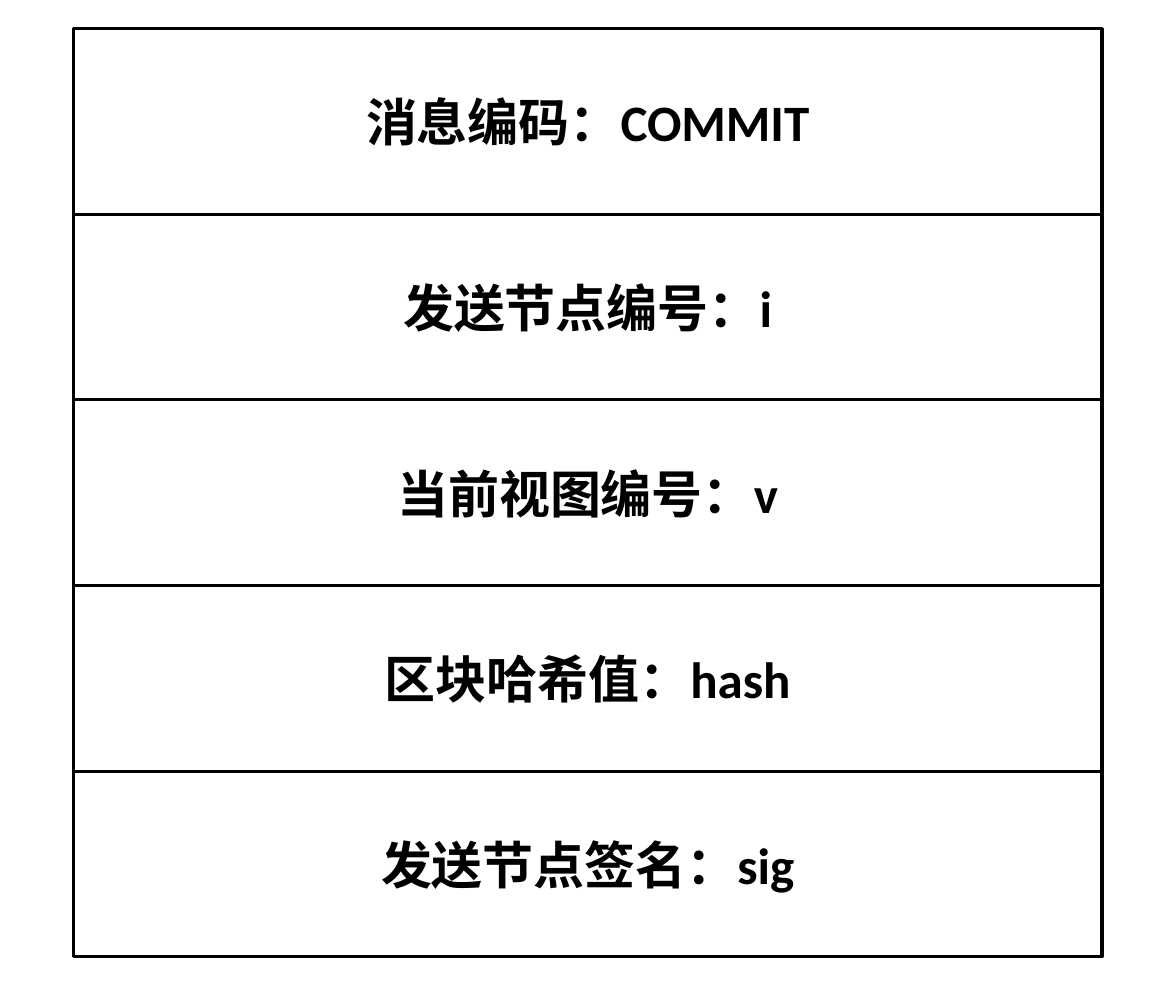
from dataclasses import dataclass

from pptx import Presentation
from pptx.dml.color import RGBColor
from pptx.enum.shapes import MSO_SHAPE as Preset
from pptx.enum.text import MSO_ANCHOR as Anchor, PP_ALIGN as Align
from pptx.util import Pt


@dataclass(frozen=True)
class Theme:
    font: str = "Calibri"
    text_size: float = 16
    line_width: float = 1
    ink: RGBColor = RGBColor(0, 0, 0)
    paper: RGBColor = RGBColor(255, 255, 255)


@dataclass(frozen=True)
class Box:
    left: float
    top: float
    width: float
    height: float


THEME = Theme()
COMMIT_FIELDS = [
    "消息编码：COMMIT",
    "发送节点编号：i",
    "当前视图编号：v",
    "区块哈希值：hash",
    "发送节点签名：sig",
]


def add_field(page, box, text):
    field = page.shapes.add_shape(
        Preset.RECTANGLE, Pt(box.left), Pt(box.top), Pt(box.width), Pt(box.height)
    )
    field.shadow.inherit = False
    field.fill.solid()
    field.fill.fore_color.rgb = THEME.paper
    field.line.color.rgb = THEME.ink
    field.line.width = Pt(THEME.line_width)

    frame = field.text_frame
    frame.word_wrap = True
    frame.vertical_anchor = Anchor.MIDDLE
    para = frame.paragraphs[0]
    para.alignment = Align.CENTER
    run = para.add_run()
    run.text = text
    run.font.name = THEME.font
    run.font.size = Pt(THEME.text_size)
    run.font.bold = True
    run.font.color.rgb = THEME.ink


def add_message_layout(page, box, fields):
    """Stack the message fields as equal rows that fill the box."""
    row_height = box.height / len(fields)
    for row, text in enumerate(fields):
        top = box.top + row * row_height
        add_field(page, Box(box.left, top, box.width, row_height), text)


def main():
    deck = Presentation()
    deck.slide_width, deck.slide_height = Pt(368.64), Pt(311.76)
    page = deck.slides.add_slide(deck.slide_layouts[6])
    add_message_layout(page, Box(23, 9, 322.5, 290.8), COMMIT_FIELDS)
    deck.save("out.pptx")


if __name__ == "__main__":
    main()
